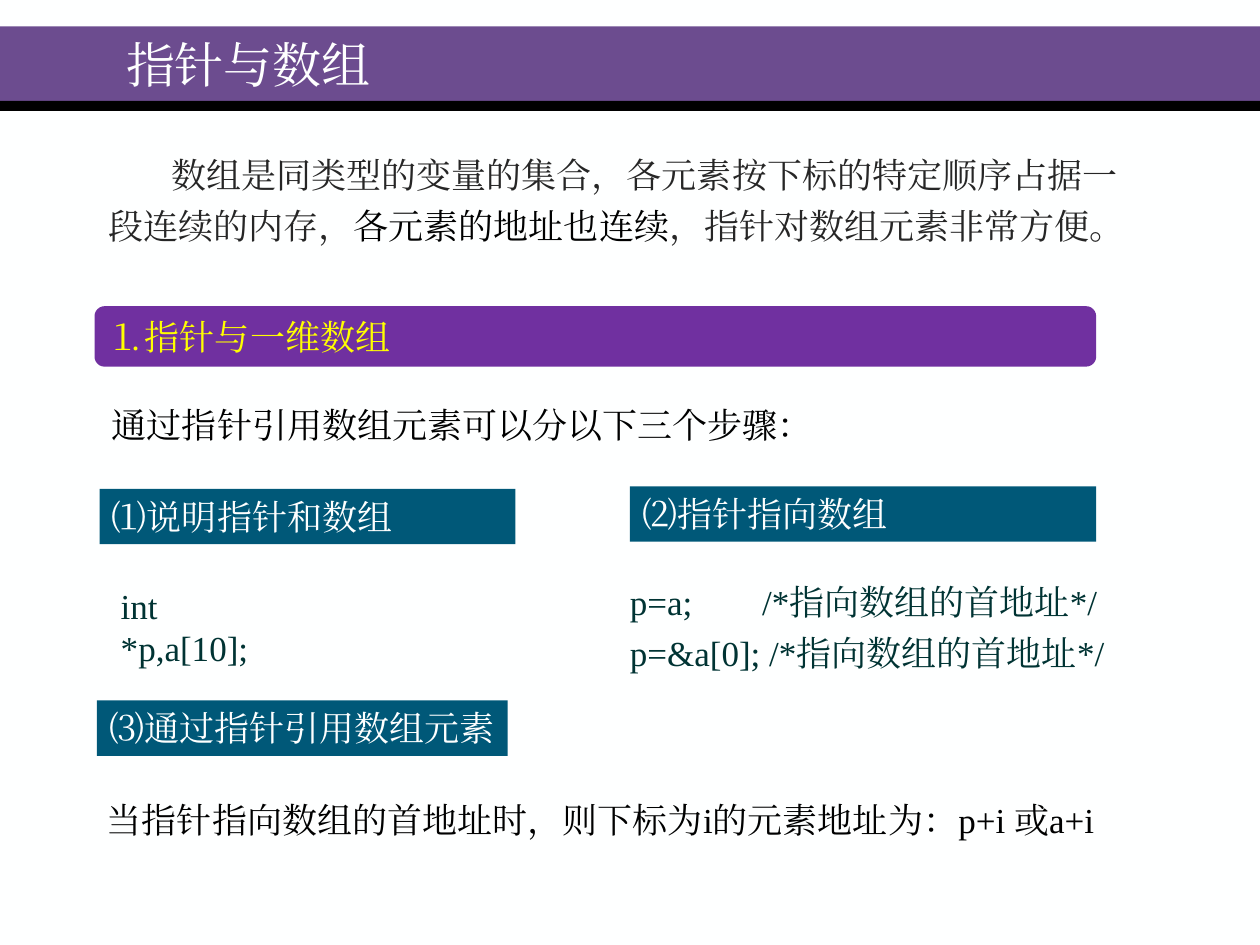
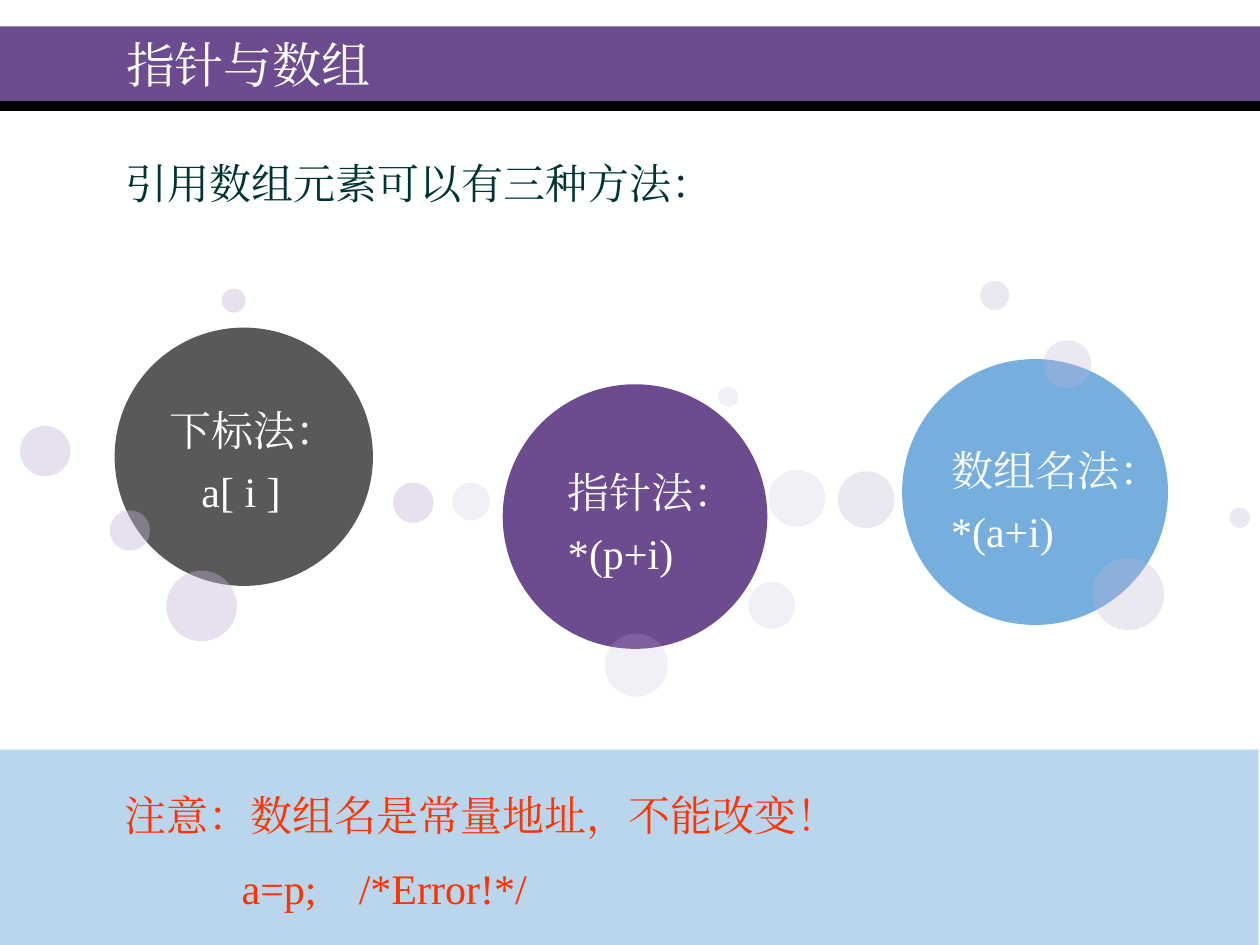
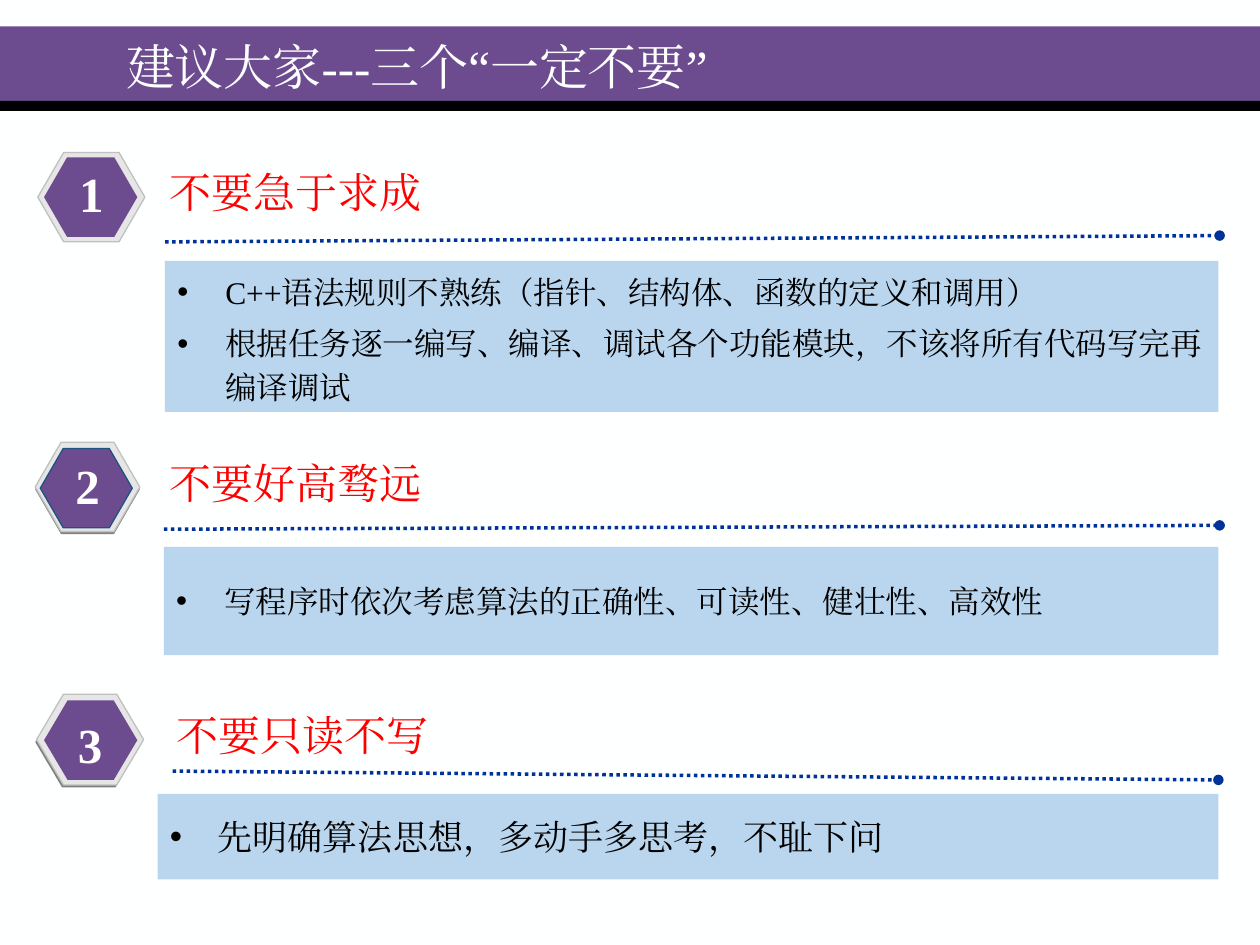
from dataclasses import dataclass
from typing import NamedTuple

from lxml import etree
from pptx import Presentation
from pptx.dml.color import RGBColor
from pptx.enum.dml import MSO_LINE
from pptx.enum.shapes import MSO_CONNECTOR, MSO_SHAPE
from pptx.enum.text import MSO_ANCHOR, MSO_AUTO_SIZE, PP_ALIGN
from pptx.oxml.ns import qn
from pptx.util import Inches, Pt

RECT, ROUNDED = MSO_SHAPE.RECTANGLE, MSO_SHAPE.ROUNDED_RECTANGLE
OVAL, HEXAGON = MSO_SHAPE.OVAL, MSO_SHAPE.HEXAGON
STRAIGHT, DOTTED = MSO_CONNECTOR.STRAIGHT, MSO_LINE.ROUND_DOT
TOP, MIDDLE = MSO_ANCHOR.TOP, MSO_ANCHOR.MIDDLE
LEFT, CENTER = PP_ALIGN.LEFT, PP_ALIGN.CENTER
FIXED, GROW = MSO_AUTO_SIZE.NONE, MSO_AUTO_SIZE.SHAPE_TO_FIT_TEXT
TITLE_ONLY = 5


@dataclass(frozen=True)
class Theme:
    font: str = "Times New Roman"
    paper: str = "FEFFFF"
    white: str = "FFFFFF"
    black: str = "000000"
    purple: str = "6C4C8F"
    section: str = "7030A0"
    section_text: str = "FFFF00"
    step: str = "005878"
    body: str = "262626"
    code: str = "003333"
    warning: str = "FF3300"
    heading: str = "FF0000"
    blue: str = "76AEDD"
    panel: str = "BAD6EE"
    gray: str = "595959"
    bubble: str = "C4B3D7"
    rule: str = "003399"
    rim: str = "E6E6E6"
    rim_edge: str = "C0C0C0"
    rim_shadow: str = "808080"
    core_edge: str = "1F5281"
    title_size: float = 28
    large: float = 24
    medium: float = 20
    small: float = 18


THEME = Theme()


class Box(NamedTuple):
    left: float
    top: float
    width: float
    height: float

    def emu(self):
        return [Inches(value) for value in self]


class Span(NamedTuple):
    text: str
    color: str


class Para(NamedTuple):
    """A paragraph whose first line is indented, made of coloured spans."""
    spans: tuple
    indent: float = 0


class Bubble(NamedTuple):
    left: float
    top: float
    size: float


@dataclass(frozen=True)
class Method:
    circle: Bubble
    color: str
    bubble_opacity: int
    bubbles: tuple
    label: Box
    lines: tuple
    wrap: bool = False


@dataclass(frozen=True)
class Advice:
    number: str
    heading: str
    points: tuple
    rim: Box
    core: Box
    number_box: Box
    heading_box: Box
    panel: Box
    rule: tuple
    point_size: float = THEME.small
    before: float = 4.5
    spacing: float | None = None
    angle: float = 0.289
    shadow: Box | None = None
    core_edge: str | None = None


# ---- Drawing tools ----
def rgb(color: str) -> RGBColor:
    return RGBColor.from_string(color)


def add_xml(parent, tag: str, **attributes):
    return etree.SubElement(parent, qn(tag), attributes)


def write(shape, *paragraphs, size=THEME.medium, color=THEME.black, bold=False,
          align=LEFT, anchor=TOP, wrap=True, fit=GROW, before=5, spacing=None,
          tab=None, bullet=False):
    """Write paragraphs (strings or Para) into a shape."""
    frame = shape.text_frame
    frame.word_wrap, frame.auto_size, frame.vertical_anchor = wrap, fit, anchor
    for index, content in enumerate(paragraphs):
        if isinstance(content, str):
            content = Para((Span(content, color),))
        paragraph = frame.paragraphs[0] if index == 0 else frame.add_paragraph()
        paragraph.alignment = align
        paragraph.space_before = Pt(before)
        if spacing:
            paragraph.line_spacing = spacing
        properties = paragraph._p.get_or_add_pPr()
        if content.indent:
            properties.set("indent", str(Inches(content.indent)))
        if bullet:
            properties.set("marL", str(Inches(0.38)))
            properties.set("indent", str(Inches(-0.38)))
            add_xml(add_xml(properties, "a:buClr"), "a:srgbClr", val=color)
            add_xml(properties, "a:buFont", typeface="Arial")
            add_xml(properties, "a:buChar", char="•")
        if tab:
            add_xml(add_xml(properties, "a:tabLst"), "a:tab",
                    pos=str(Inches(tab)), algn="l")
        for span in content.spans:
            run = paragraph.add_run()
            run.text = span.text
            run.font.name = THEME.font
            run.font.size = Pt(size)
            run.font.bold = bold
            run.font.color.rgb = rgb(span.color)
            add_xml(run.font._element, "a:ea", typeface=THEME.font)


def add_text(slide, box: Box, *paragraphs, **style):
    write(slide.shapes.add_textbox(*box.emu()), *paragraphs, **style)


def add_panel(slide, kind, box: Box, fill: str, opacity: int = 100,
              edge: str | None = None):
    shape = slide.shapes.add_shape(kind, *box.emu())
    shape.shadow.inherit = False
    shape.fill.solid()
    shape.fill.fore_color.rgb = rgb(fill)
    if opacity < 100:
        tint = shape.element.xpath("./p:spPr/a:solidFill/a:srgbClr")[0]
        add_xml(tint, "a:alpha", val=str(opacity * 1000))
    if edge:
        shape.line.color.rgb = rgb(edge)
        shape.line.width = Pt(0.75)
    else:
        shape.line.fill.background()
    return shape


def add_circle(slide, circle: Bubble, fill: str, opacity: int = 100):
    left, top, size = circle
    add_panel(slide, OVAL, Box(left, top, size, size), fill, opacity)


def add_hexagon(slide, box: Box, angle: float, fill: str, edge: str | None = None):
    add_panel(slide, HEXAGON, box, fill, edge=edge).adjustments[0] = angle


def add_rule(slide, ends: tuple):
    rule = slide.shapes.add_connector(STRAIGHT, *[Inches(value) for value in ends])
    rule.line.color.rgb = rgb(THEME.rule)
    rule.line.width = Pt(2)
    rule.line.dash_style = DOTTED
    add_xml(rule.line._get_or_add_ln(), "a:tailEnd", type="oval")
    add_xml(rule.element.spPr, "a:effectLst")


def add_slide(prs, title: str, box: Box = Box(0.9, 0.17, 8.5, 0.67)):
    slide = prs.slides.add_slide(prs.slide_layouts[TITLE_ONLY])
    heading = slide.shapes.title
    heading.left, heading.top, heading.width, heading.height = box.emu()
    write(heading, title, size=THEME.title_size, color=THEME.paper,
          anchor=MIDDLE, fit=FIXED, before=0)
    return slide


def set_up_layout(prs, slide):
    """Give the shared layout its background and title bands."""
    prs.slide_master.background.fill.solid()
    prs.slide_master.background.fill.fore_color.rgb = rgb(THEME.paper)
    title, *footers = prs.slide_layouts[TITLE_ONLY].placeholders
    for footer in footers:
        footer.element.getparent().remove(footer.element)
    for box, color in ((Box(0, 0.21, 10, 0.59), THEME.purple),
                       (Box(0, 0.8, 10, 0.08), THEME.black)):
        band = add_panel(slide, RECT, box, color)
        title.element.addprevious(band.element)


# ---- Slide 1: pointers and one-dimensional arrays ----
STEPS = (
    (Box(0.79, 3.88, 3.3, 0.44), "⑴说明指针和数组"),
    (Box(5, 3.86, 3.7, 0.44), "⑵指针指向数组"),
    (Box(0.77, 5.56, 3.26, 0.44), "⑶通过指针引用数组元素"),
)


def fill_array_slide(slide):
    add_text(
        slide, Box(0.76, 1.17, 8.29, 0.84),
        Para((Span("数组是同类型的变量的集合，各元素按下标的特定顺序占据一", THEME.body),), 0.5),
        Para((Span("段连续的内存，", THEME.body),
              Span("各元素的地址也连续", THEME.black),
              Span("，指针对数组元素非常方便。", THEME.body))),
        wrap=False)
    section = add_panel(slide, ROUNDED, Box(0.75, 2.43, 7.95, 0.48), THEME.section)
    write(section, "⒈指针与一维数组", color=THEME.section_text)
    add_text(slide, Box(0.79, 3.15, 5.76, 0.44),
             "通过指针引用数组元素可以分以下三个步骤：", wrap=False)
    for box, step in STEPS:
        write(add_panel(slide, RECT, box, THEME.step), step, color=THEME.paper)
    add_text(slide, Box(0.86, 4.59, 1.71, 0.44), "int\t*p,a[10];",
             color=THEME.code, wrap=False, tab=0.51)
    add_text(slide, Box(4.9, 4.56, 4.1, 0.84), "p=a;\t/*指向数组的首地址*/",
             "p=&a[0]; /*指向数组的首地址*/", color=THEME.code, wrap=False, tab=1.05)
    add_text(slide, Box(0.75, 6.29, 8.85, 0.44),
             "当指针指向数组的首地址时，则下标为i的元素地址为：p+i 或a+i")


# ---- Slide 2: three ways to reach an element ----
METHODS = (
    Method(Bubble(3.99, 3.05, 2.1), THEME.purple, 20,
           (Bubble(3.59, 3.83, 0.3), Bubble(4.8, 5.03, 0.5), Bubble(5.7, 3.07, 0.16),
            Bubble(5.94, 4.62, 0.37), Bubble(6.1, 3.73, 0.45)),
           Box(4.41, 3.65, 1.73, 0.99), ("指针法：", "*(p+i)"), wrap=True),
    Method(Bubble(7.16, 2.85, 2.11), THEME.blue, 30,
           (Bubble(6.65, 3.74, 0.45), Bubble(7.78, 2.23, 0.23), Bubble(8.67, 4.43, 0.57),
            Bubble(9.76, 4.03, 0.16), Bubble(8.28, 2.7, 0.38)),
           Box(7.45, 3.48, 1.86, 0.99), ("数组名法：", "*(a+i)")),
    Method(Bubble(0.91, 2.6, 2.05), THEME.gray, 40,
           (Bubble(3.12, 3.83, 0.32), Bubble(0.87, 4.05, 0.32), Bubble(1.32, 4.53, 0.56),
            Bubble(1.76, 2.29, 0.19), Bubble(0.16, 3.38, 0.4)),
           Box(1.25, 3.16, 1.61, 0.99),
           ("下标法：", Para((Span("a[ i ]", THEME.paper),), 0.25))),
)


def fill_method_slide(slide):
    line_style = dict(size=THEME.large, before=6, wrap=False)
    add_panel(slide, RECT, Box(-0.01, 5.95, 10, 1.55), THEME.blue, 50)
    add_text(slide, Box(0.9, 1.2, 4.86, 0.5), "引用数组元素可以有三种方法：",
             color=THEME.code, **line_style)
    add_text(slide, Box(0.89, 6.22, 5.94, 0.5), "注意：数组名是常量地址，不能改变！",
             color=THEME.warning, **line_style)
    add_text(slide, Box(1.82, 6.8, 2.46, 0.5), "a=p;\t/*Error!*/",
             color=THEME.warning, tab=0.93, **line_style)
    for method in METHODS:
        add_circle(slide, method.circle, method.color)
        for bubble in method.bubbles:
            add_circle(slide, bubble, THEME.bubble, method.bubble_opacity)
    for method in METHODS:
        add_text(slide, method.label, *method.lines, size=THEME.large,
                 color=THEME.paper, before=6, wrap=method.wrap)


# ---- Slide 3: three pieces of advice ----
ADVICE = (
    Advice("1", "不要急于求成",
           ("C++语法规则不熟练（指针、结构体、函数的定义和调用）",
            "根据任务逐一编写、编译、调试各个功能模块，不该将所有代码写完再编译调试"),
           rim=Box(0.3, 1.21, 0.85, 0.71), core=Box(0.35, 1.25, 0.74, 0.63),
           number_box=Box(0.52, 1.25, 0.41, 0.57),
           heading_box=Box(1.25, 1.27, 8.65, 0.5),
           panel=Box(1.31, 2.07, 8.36, 1.2), rule=(1.31, 1.92, 9.68, 1.87),
           spacing=1.15),
    Advice("2", "不要好高骛远", ("写程序时依次考虑算法的正确性、可读性、健壮性、高效性",),
           rim=Box(0.28, 3.51, 0.83, 0.71), core=Box(0.32, 3.56, 0.73, 0.63),
           number_box=Box(0.5, 3.57, 0.39, 0.57),
           heading_box=Box(1.25, 3.58, 8.23, 0.5),
           panel=Box(1.3, 4.34, 8.37, 0.86), rule=(1.3, 4.2, 9.68, 4.17),
           shadow=Box(0.28, 3.53, 0.83, 0.71), core_edge=THEME.core_edge),
    Advice("3", "不要只读不写", ("先明确算法思想，多动手多思考，不耻下问",),
           rim=Box(0.29, 5.51, 0.85, 0.72), core=Box(0.35, 5.56, 0.74, 0.63),
           number_box=Box(0.52, 5.62, 0.39, 0.57),
           heading_box=Box(1.3, 5.58, 6.55, 0.5),
           panel=Box(1.25, 6.3, 8.42, 0.68), rule=(1.37, 6.12, 9.67, 6.19),
           point_size=THEME.medium, before=5, angle=0.296,
           shadow=Box(0.28, 5.53, 0.85, 0.72)),
)


def add_advice(slide, advice: Advice):
    if advice.shadow:
        add_hexagon(slide, advice.shadow, advice.angle, THEME.rim_shadow)
    add_hexagon(slide, advice.rim, advice.angle, THEME.rim, THEME.rim_edge)
    add_hexagon(slide, advice.core, advice.angle, THEME.purple, advice.core_edge)
    add_rule(slide, advice.rule)
    add_text(slide, advice.heading_box, advice.heading, size=THEME.large,
             color=THEME.heading, before=6)
    add_text(slide, advice.number_box, advice.number, size=THEME.title_size,
             color=THEME.white, bold=True, align=CENTER, wrap=False, before=7)
    panel = add_panel(slide, RECT, advice.panel, THEME.panel)
    write(panel, *advice.points, size=advice.point_size, anchor=MIDDLE, fit=FIXED,
          before=advice.before, spacing=advice.spacing, bullet=True)


def main():
    prs = Presentation()
    prs.slide_width, prs.slide_height = Inches(10), Inches(7.5)

    array_slide = add_slide(prs, "指针与数组")
    set_up_layout(prs, array_slide)
    fill_array_slide(array_slide)

    fill_method_slide(add_slide(prs, "指针与数组"))

    advice_slide = add_slide(prs, "建议大家---三个“一定不要”", Box(0.9, 0.21, 6.06, 0.62))
    for advice in ADVICE:
        add_advice(advice_slide, advice)

    prs.save("out.pptx")


if __name__ == "__main__":
    main()
